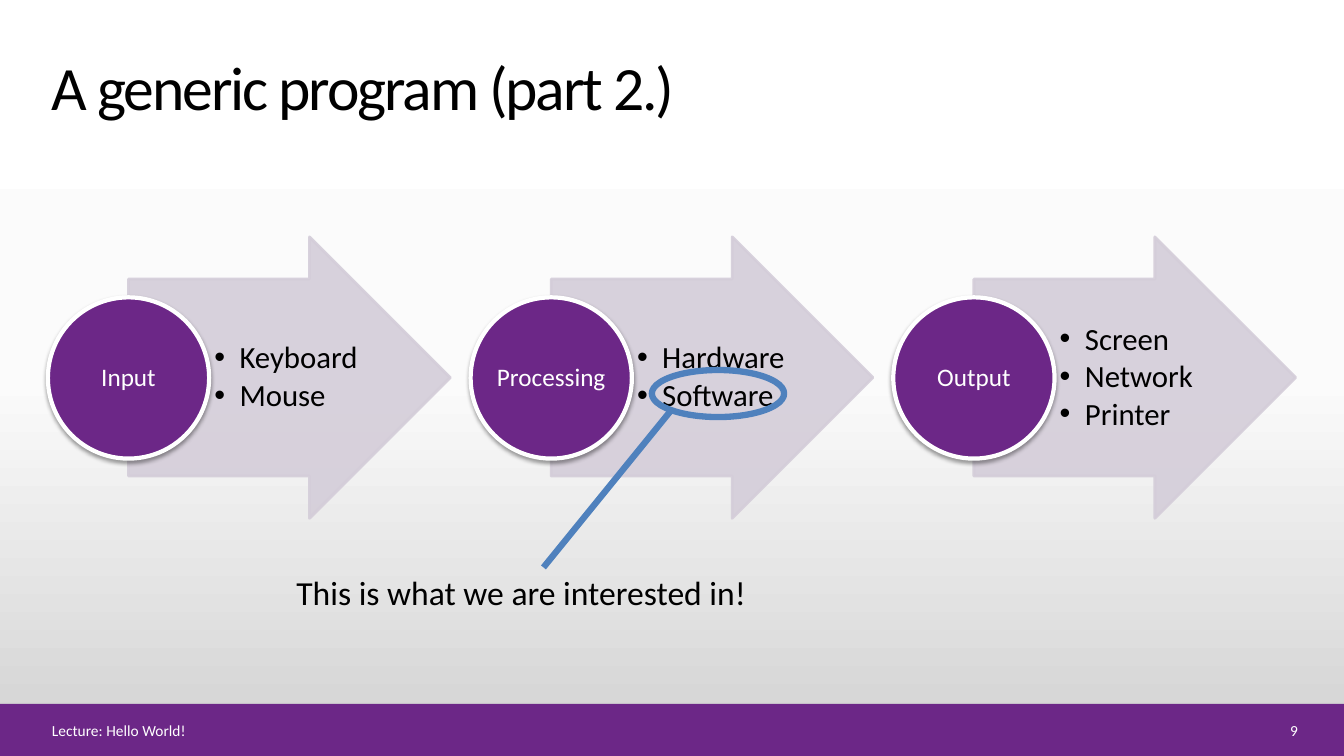
from dataclasses import dataclass

from lxml import etree
from pptx import Presentation
from pptx import util as u
from pptx.dml.color import RGBColor
from pptx.enum import shapes, text
from pptx.oxml import ns


@dataclass(frozen=True)
class Theme:
    font: str = "Calibri"
    ink: str = "000000"
    paper: str = "FFFFFF"
    brand: str = "6C2787"
    pale: str = "D4CDD9"
    mark: str = "4F81BD"
    back: tuple = ((0, "FFFFFF"), (50, "FBFBFB"), (100, "D1D1D1"))
    title: int = 44
    note: int = 24
    item: int = 22
    label: int = 18
    foot: int = 11


def add(parent, tag, **attrs):
    node = etree.SubElement(parent, ns.qn(tag))
    for key, value in attrs.items():
        node.set(key, str(value))
    return node


class Deck:
    cols, rows = 160, 90

    def __init__(self, theme):
        self.theme = theme
        self.prs = Presentation()
        self.prs.slide_width = u.Inches(13.33)
        self.prs.slide_height = u.Inches(7.5)
        self.slide = self.prs.slides.add_slide(self.prs.slide_layouts[6])

    def place(self, x, y, *size):
        wide = self.prs.slide_width / self.cols
        high = self.prs.slide_height / self.rows
        return [round(n * unit) for n, unit in zip((x, y, *size), (wide, high) * 2)]

    def backdrop(self):
        fill = self.slide.background.fill
        fill.gradient()
        fill.gradient_angle = 270
        stops = self.slide.element.find(".//" + ns.qn("a:gsLst"))
        stops.clear()
        for pos, tone in self.theme.back:
            stop = add(stops, "a:gs", pos=pos * 1000)
            add(stop, "a:srgbClr", val=tone)

    def shape(self, kind, box, fill=None, line=None, width=0, alpha=100):
        item = self.slide.shapes.add_shape(kind, *self.place(*box))
        item.shadow.inherit = False
        if fill:
            item.fill.solid()
            item.fill.fore_color.rgb = RGBColor.from_string(fill)
        else:
            item.fill.background()
        if line:
            item.line.color.rgb = RGBColor.from_string(line)
            item.line.width = u.Pt(width)
        else:
            item.line.fill.background()
        if alpha < 100:
            for tone in item.element.spPr.iter(ns.qn("a:srgbClr")):
                add(tone, "a:alpha", val=alpha * 1000)
        return item

    def shade(self, item):
        effects = item.element.spPr.find(ns.qn("a:effectLst"))
        cast = add(effects, "a:outerShdw", blurRad=u.Pt(3.1), dist=u.Pt(1.6),
                   dir=5400000, rotWithShape=0)
        add(add(cast, "a:srgbClr", val=self.theme.ink), "a:alpha", val=38000)

    def letter(self, item, lines, size, tone, anchor="TOP", align="LEFT",
               inset=(0.1, 0.05, 0.1, 0.05), tight=False, bullet=False, track=0):
        frame = item.text_frame
        frame.word_wrap = True
        frame.vertical_anchor = text.MSO_ANCHOR[anchor]
        (frame.margin_left, frame.margin_top,
         frame.margin_right, frame.margin_bottom) = map(u.Inches, inset)
        for n, line in enumerate(lines):
            para = frame.add_paragraph() if n else frame.paragraphs[0]
            para.alignment = text.PP_ALIGN[align]
            if tight:
                para.line_spacing = 0.9
            if bullet:
                para.space_after = u.Pt(3)
                props = para._p.get_or_add_pPr()
                props.set("marL", str(u.Inches(0.25)))
                props.set("indent", str(u.Inches(-0.25)))
                add(props, "a:buFont", typeface="Arial")
                add(props, "a:buChar", char="•")
            run = para.add_run()
            run.text = line
            run.font.name = self.theme.font
            run.font.size = u.Pt(size)
            run.font.color.rgb = RGBColor.from_string(tone)
            if track:
                run._r.get_or_add_rPr().set("spc", str(round(track * 100)))

    def text(self, box, lines, size, tone, **style):
        item = self.slide.shapes.add_textbox(*self.place(*box))
        self.letter(item, lines, size, tone, **style)

    def line(self, start, end, tone, width):
        item = self.slide.shapes.add_connector(
            shapes.MSO_CONNECTOR.STRAIGHT, *self.place(*start), *self.place(*end))
        item.line.color.rgb = RGBColor.from_string(tone)
        item.line.width = u.Pt(width)
        add(item._element.spPr, "a:effectLst")

    def stage(self, x, name, items):
        look = self.theme
        kind = shapes.MSO_SHAPE
        arrow = self.shape(kind.RIGHT_ARROW, (x + 9.6, 28.2, 38.3, 33.5),
                           look.pale, look.pale, 2, 90)
        arrow.adjustments[0] = 0.7
        arrow.adjustments[1] = 0.5
        self.text((x + 19.1, 33.25, 18.7, 23.4), items, look.item, look.ink,
                  anchor="MIDDLE", inset=(0.06, 0.02, 0.03, 0.02),
                  tight=True, bullet=True)
        disc = self.shape(kind.OVAL, (x, 35.4, 19.2, 19.2), look.brand, look.paper, 3)
        self.shade(disc)
        self.letter(disc, [name], look.label, look.paper, anchor="MIDDLE",
                    align="CENTER", inset=(0.01,) * 4, tight=True)


def main():
    look = Theme()
    deck = Deck(look)
    deck.backdrop()
    deck.shape(shapes.MSO_SHAPE.RECTANGLE, (0, 83.8, 160, 6.2), look.brand)
    deck.text((5, 4.8, 124.8, 10.4), ["A generic program (part 2.)"],
              look.title, look.ink, anchor="BOTTOM", track=-1.5)
    stages = (
        ("Input", ["Keyboard", "Mouse"]),
        ("Processing", ["Hardware", "Software"]),
        ("Output", ["Screen", "Network", "Printer"]),
    )
    for n, (name, items) in enumerate(stages):
        deck.stage(5.7 + n * 50.32, name, items)
    deck.shape(shapes.MSO_SHAPE.OVAL, (77.6, 44.05, 15.75, 5.6), line=look.mark, width=4.5)
    deck.line((79.9, 48.85), (64.7, 67.55), look.mark, 4.5)
    deck.text((34.1, 67.55, 61.3, 6), ["This is what we are interested in!"],
              look.note, look.ink)
    deck.text((5, 85.5, 139.8, 2.8), ["Lecture: Hello World!"],
              look.foot, look.paper, anchor="MIDDLE")
    deck.text((146.7, 85.5, 9, 2.8), ["9"], look.foot, look.paper,
              anchor="MIDDLE", align="RIGHT")
    deck.prs.save("out.pptx")


if __name__ == "__main__":
    main()
